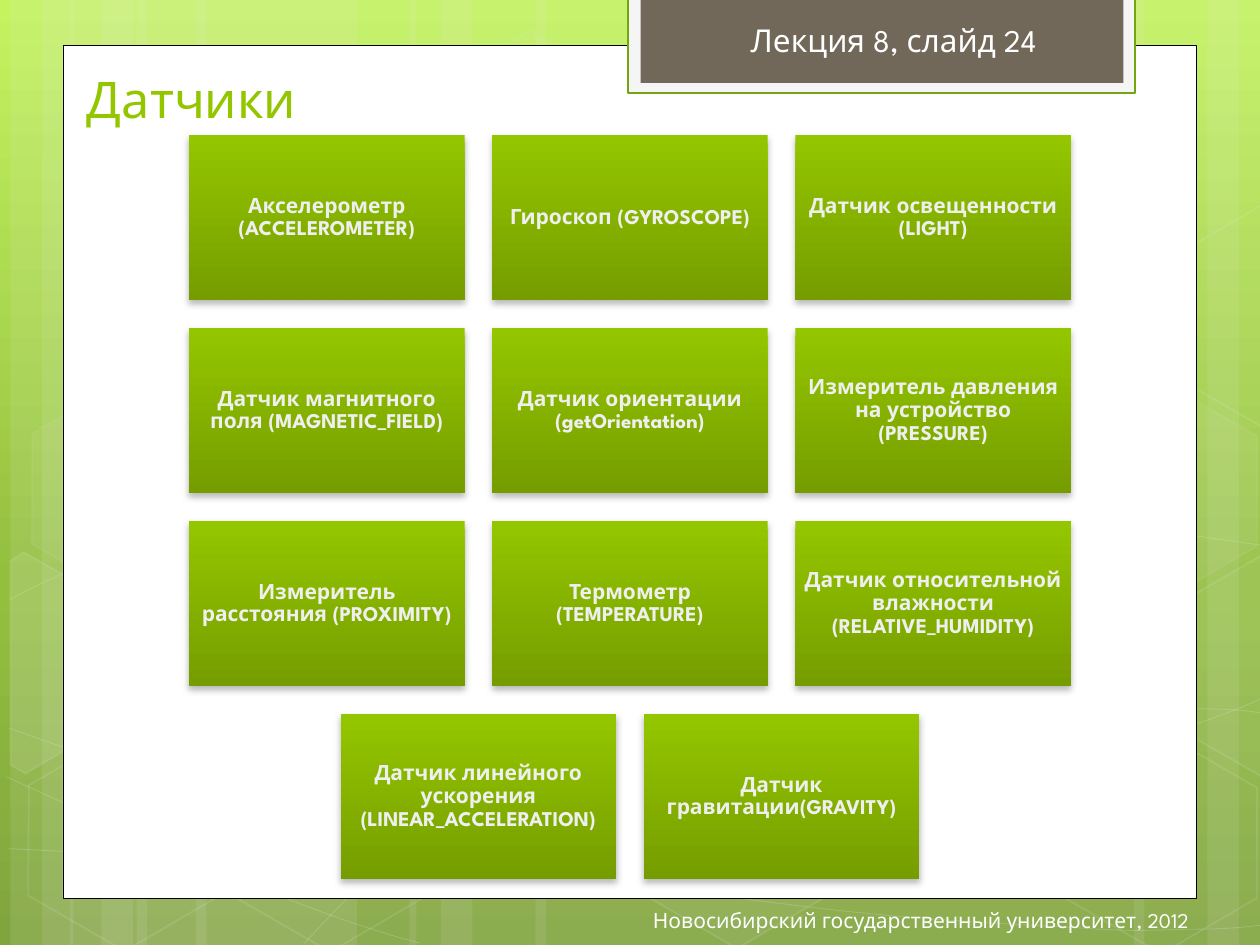
from copy import deepcopy
from dataclasses import dataclass

from lxml import etree
from pptx import Presentation
from pptx.dml.color import RGBColor
from pptx.enum.shapes import MSO_SHAPE
from pptx.enum.text import MSO_ANCHOR, MSO_AUTO_SIZE, PP_ALIGN
from pptx.oxml.ns import qn
from pptx.util import Pt

RECTANGLE, HEXAGON = MSO_SHAPE.RECTANGLE, MSO_SHAPE.HEXAGON
MIDDLE, BOTTOM = MSO_ANCHOR.MIDDLE, MSO_ANCHOR.BOTTOM
LEFT, CENTER, RIGHT = PP_ALIGN.LEFT, PP_ALIGN.CENTER, PP_ALIGN.RIGHT
NO_FIT, GROW = MSO_AUTO_SIZE.NONE, MSO_AUTO_SIZE.SHAPE_TO_FIT_TEXT

FONT = "League Spartan"
PALE = RGBColor(0xEF, 0xEF, 0xEF)
WHITE = RGBColor(0xFF, 0xFF, 0xFF)
BLACK = RGBColor(0, 0, 0)
SKY_TOP = RGBColor(0xC3, 0xF3, 0x5F)
SKY_MIDDLE = RGBColor(0x93, 0xBF, 0x3F)
SKY_BOTTOM = RGBColor(0x81, 0xA5, 0x3E)
LIME = RGBColor(0x94, 0xC6, 0x00)
DARK_LIME = RGBColor(0x76, 0x9D, 0x00)
TAB_EDGE = RGBColor(0x74, 0xA5, 0x10)
TAB_FRAME = RGBColor(0xF5, 0xF5, 0xF5)
TAB_BROWN = RGBColor(0x71, 0x68, 0x5A)

STRIPES = [(78, 126), (6, 36), (24, 60), (112, 126), (40, 36), (58, 60),
           (528, 126), (690, 36), (648, 60), (306, 222), (234, 36), (252, 60)]
CURVES = [
    [(5, 485), (44, 487), (83, 489), (137, 488), (191, 487), (258, 486), (330, 479),
     (402, 472), (504, 458), (570, 444), (636, 431), (703, 409), (725, 397)],
    [(5, 343), (26, 332), (47, 321), (87, 310), (128, 300), (186, 284), (250, 279),
     (314, 274), (392, 273), (471, 279), (550, 284), (682, 307), (725, 312)],
    [(4, 444), (91, 484), (178, 523), (240, 539)],
    [(5, 416), (27, 424), (50, 432), (92, 444), (134, 454), (197, 472), (257, 485),
     (317, 497), (392, 510), (452, 517), (512, 525), (576, 528), (614, 530),
     (652, 533), (662, 531), (680, 531), (699, 531), (712, 530), (725, 528)],
    [(174, 539), (187, 525), (200, 510), (217, 498), (235, 485), (259, 470), (279, 460),
     (300, 450), (312, 446), (338, 438), (364, 431), (413, 421), (438, 416),
     (463, 411), (467, 411), (490, 410), (512, 408), (547, 405), (572, 405),
     (597, 404), (638, 405), (638, 405), (654, 405), (670, 405), (686, 405),
     (699, 405), (711, 406), (718, 407), (724, 408), (722, 408), (724, 408)],
]
HEXAGONS = [(240.5, 26, 4, 8), (358, 424, 6, 12), (8, 425.5, None, 12),
            (10, 224.5, 7, 8), (125.5, 426, None, 12), (542, 326, 10, 12),
            (600.5, 427, None, 12), (600.5, 226, 7, 8)]
CUT_HEXAGONS = [
    ([(6, 320.5), (13.5, 315.5), (69, 347), (68.5, 410.5), (14.5, 442), (6, 437)], 10),
    ([(666.5, 349), (720.5, 317.5), (726.5, 321), (726.5, 441.5), (721.5, 444),
      (666.5, 412.5)], 4),
    ([(666.5, 149), (720.5, 117.5), (727, 121), (726.5, 241), (721.5, 244),
      (666.5, 212.5)], None),
]
SENSORS = [
    ["Акселерометр (ACCELEROMETER)", "Гироскоп (GYROSCOPE)", "Датчик освещенности (LIGHT)"],
    ["Датчик магнитного поля (MAGNETIC_FIELD)", "Датчик ориентации (getOrientation)",
     "Измеритель давления на устройство (PRESSURE)"],
    ["Измеритель расстояния (PROXIMITY)", "Термометр (TEMPERATURE)",
     "Датчик относительной влажности (RELATIVE_HUMIDITY)"],
    ["Датчик линейного ускорения (LINEAR_ACCELERATION)", "Датчик гравитации(GRAVITY)"],
]


@dataclass
class Box:
    """A region of the slide, in points."""
    left: float
    top: float
    width: float
    height: float

    def lengths(self):
        """Return the four sides as lengths."""
        return [Pt(v) for v in (self.left, self.top, self.width, self.height)]


def add_block(slide, box, fill=None, line=None, line_width=0.5, kind=RECTANGLE):
    """Add a flat preset shape with an optional fill and outline."""
    block = slide.shapes.add_shape(kind, *box.lengths())
    block.shadow.inherit = False
    if fill is not None:
        block.fill.solid()
        block.fill.fore_color.rgb = fill
    if line is None:
        block.line.fill.background()
    else:
        block.line.color.rgb = line
        block.line.width = Pt(line_width)
    return block


def make_veil(shape, fill_alpha=None, line_alpha=None, line_width=1):
    """Give a shape a see-through pale fill and outline, in percent."""
    shape.shadow.inherit = False
    if fill_alpha:
        shape.fill.solid()
        shape.fill.fore_color.rgb = PALE
    else:
        shape.fill.background()
    if line_alpha:
        shape.line.color.rgb = PALE
        shape.line.width = Pt(line_width)
    else:
        shape.line.fill.background()
    alphas = [alpha for alpha in (fill_alpha, line_alpha) if alpha]
    for color, alpha in zip(list(shape.element.iter(qn("a:srgbClr"))), alphas):
        etree.SubElement(color, qn("a:alpha"), val=str(alpha * 1000))


def set_gradient(fill, top, bottom):
    """Fill from top to bottom with two colours."""
    fill.gradient()
    fill.gradient_angle = 270
    for stop, color, position in zip(fill.gradient_stops, (top, bottom), (0, 1)):
        stop.color.rgb = color
        stop.position = position


def write(frame, text, size, color, align=LEFT, bold=False):
    """Write one run into the first paragraph and return the paragraph."""
    paragraph = frame.paragraphs[0]
    paragraph.alignment = align
    run = paragraph.add_run()
    run.text = text
    run.font.name, run.font.size, run.font.bold = FONT, Pt(size), bold
    run.font.color.rgb = color
    return paragraph


def add_outline(slide, box, points, close):
    """Draw a freeform through points measured from the box corner."""
    placed = [(Pt(box.left + x), Pt(box.top + y)) for x, y in points]
    builder = slide.shapes.build_freeform(*placed[0])
    builder.add_line_segments(placed[1:], close=close)
    return builder.convert_to_shape()


def add_wave(slide, box, knots):
    """Draw a chain of cubic Bezier segments, three knots to a segment."""
    wave = add_outline(slide, box, knots, False)
    lines = list(wave.element.iter(qn("a:lnTo")))
    for start in range(0, len(lines), 3):
        curve = etree.Element(qn("a:cubicBezTo"))
        lines[start].addprevious(curve)
        for line in lines[start:start + 3]:
            curve.append(line[0])
            line.getparent().remove(line)
    return wave


def draw_backdrop(slide, box):
    """Draw the green gradient with its stripes, waves and hexagons."""
    fill = slide.background.fill
    set_gradient(fill, SKY_TOP, SKY_BOTTOM)
    first = next(slide.element.iter(qn("a:gs")))
    first.addnext(deepcopy(first))
    middle = fill.gradient_stops[1]
    middle.color.rgb, middle.position = SKY_MIDDLE, 0.62
    for x, width in STRIPES:
        make_veil(add_block(slide, Box(box.left + x, box.top, width, box.height)), 10)
    for knots in CURVES:
        make_veil(add_wave(slide, box, knots), None, 20, 0.5)
    for x, y, fill_alpha, line_alpha in HEXAGONS:
        hexagon = add_block(slide, Box(box.left + x, box.top + y, 126, 109.5), kind=HEXAGON)
        hexagon.adjustments[0] = 0.285
        hexagon.rotation = 30
        make_veil(hexagon, fill_alpha, line_alpha)
    for points, fill_alpha in CUT_HEXAGONS:
        make_veil(add_outline(slide, box, points, True), fill_alpha, 12)


def place_title(slide, box, text):
    """Place and format the title in front of the panel."""
    title = slide.shapes.title
    title.element.getparent().append(title.element)
    title.left, title.top, title.width, title.height = box.lengths()
    title.text_frame.auto_size = NO_FIT
    title.text_frame.vertical_anchor = BOTTOM
    write(title.text_frame, text, 28.8, LIME)


def draw_lecture_tab(slide, box):
    """Draw the framed brown tab at the top edge."""
    add_block(slide, box, TAB_FRAME, TAB_EDGE, 1.25)
    add_block(slide, Box(box.left + 7, box.top, box.width - 13.6, box.height - 6), TAB_BROWN)


def write_lecture_label(slide, box, text):
    """Write the lecture and slide number."""
    frame = slide.shapes.add_textbox(*box.lengths()).text_frame
    frame.word_wrap = False
    frame.auto_size = GROW
    write(frame, text, 18, WHITE)


def write_footer(slide, box, text):
    """Write the footer, aligned right."""
    frame = slide.shapes.add_textbox(*box.lengths()).text_frame
    frame.word_wrap = True
    frame.vertical_anchor = MIDDLE
    write(frame, text, 12, WHITE, RIGHT)


def add_sensor_tile(slide, box, text):
    """Add one shaded tile with a sensor's name."""
    tile = add_block(slide, box)
    set_gradient(tile.fill, LIME, DARK_LIME)
    effects = next(tile.element.iter(qn("a:effectLst")))
    shadow = etree.SubElement(effects, qn("a:outerShdw"), blurRad=str(Pt(4)),
                              dist=str(Pt(2)), dir="5400000", rotWithShape="0")
    color = etree.SubElement(shadow, qn("a:srgbClr"), val=str(BLACK))
    etree.SubElement(color, qn("a:alpha"), val="28000")
    frame = tile.text_frame
    frame.word_wrap = True
    frame.vertical_anchor = MIDDLE
    frame.margin_left = frame.margin_right = frame.margin_top = frame.margin_bottom = Pt(3.6)
    paragraph = write(frame, text, 12, PALE, CENTER, True)
    paragraph.line_spacing = 0.9
    paragraph.space_after = Pt(4.2)


def draw_sensor_grid(slide, box, rows, gap=15.75):
    """Lay out the tiles in equal rows, centring a short row."""
    columns = max(len(row) for row in rows)
    width = (box.width - gap * (columns - 1)) / columns
    height = (box.height - gap * (len(rows) - 1)) / len(rows)
    for index, row in enumerate(rows):
        left = box.left + (columns - len(row)) * (width + gap) / 2
        top = box.top + index * (height + gap)
        for column, sensor in enumerate(row):
            add_sensor_tile(slide, Box(left + column * (width + gap), top, width, height), sensor)


def main():
    """Build the sensors slide and save it."""
    deck = Presentation()
    deck.slide_width, deck.slide_height = Pt(720), Pt(540)
    slide = deck.slides.add_slide(deck.slide_layouts[5])
    draw_backdrop(slide, Box(0, 0, 720, 540))
    add_block(slide, Box(36, 26, 648, 487.2), WHITE, BLACK)
    draw_lecture_tab(slide, Box(359, -1.4, 289.6, 54.8))
    place_title(slide, Box(42.5, 31.7, 629.3, 45.4), "Датчики")
    write_lecture_label(slide, Box(421.9, 8.6, 186.5, 28.8), "Лекция 8, слайд 24")
    write_footer(slide, Box(223.6, 511.2, 463, 28.8),
                 "Новосибирский государственный университет, 2012")
    draw_sensor_grid(slide, Box(108, 77.2, 504, 425.25), SENSORS)
    deck.save("out.pptx")


if __name__ == "__main__":
    main()
